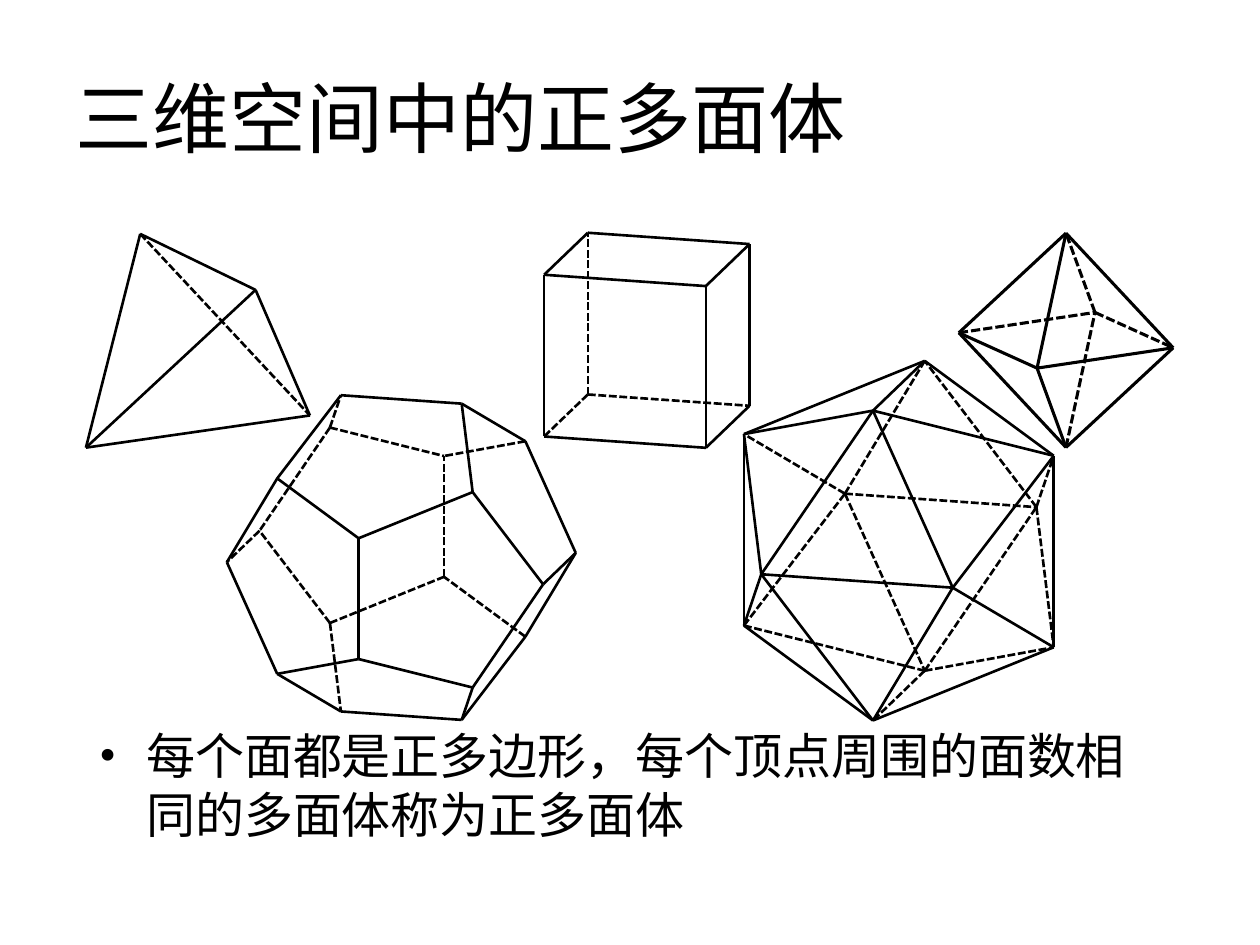
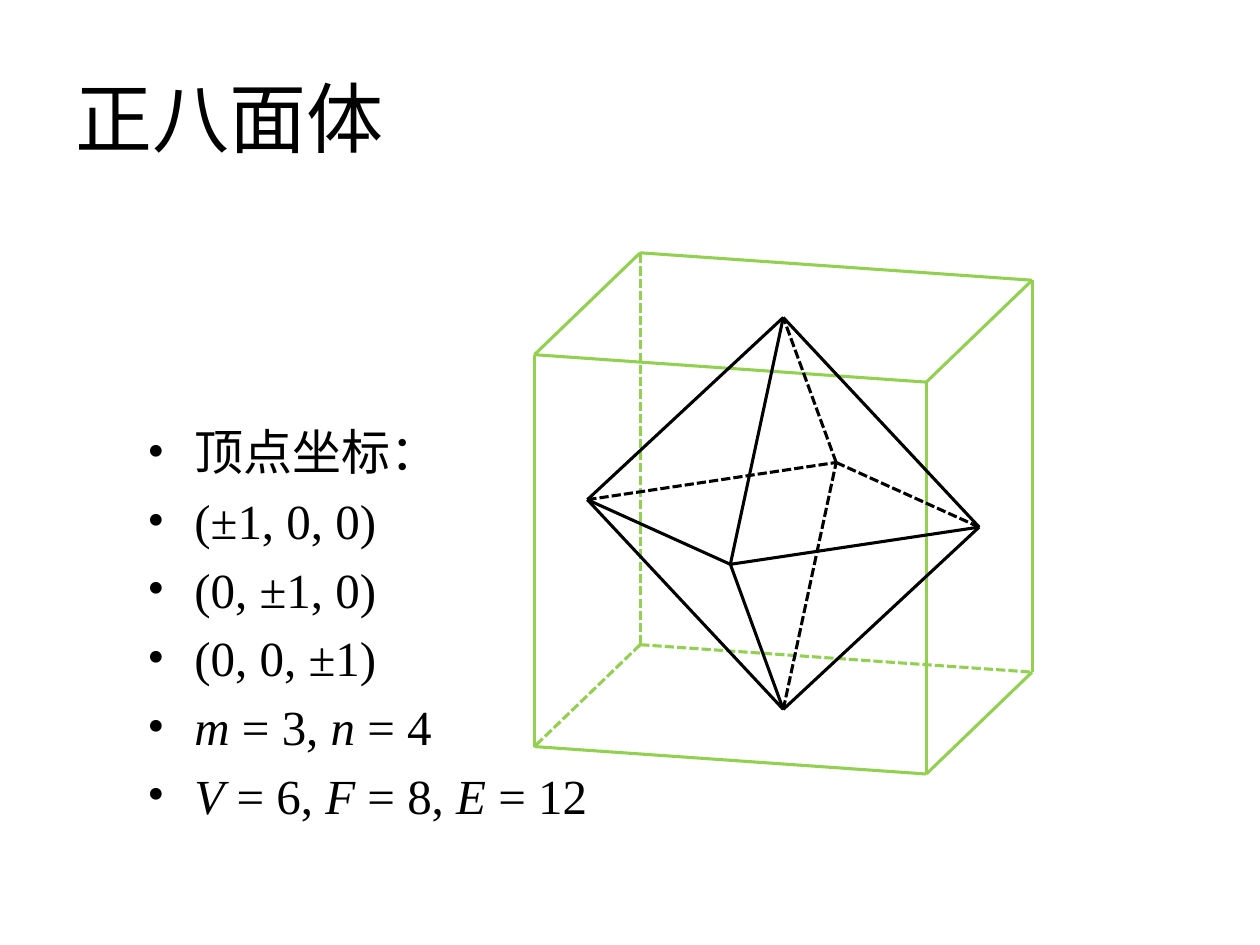
import itertools
import math

import pptx
import pptx.dml.color
import pptx.enum.dml
import pptx.enum.shapes
import pptx.enum.text
import pptx.util
from lxml import etree
from pptx.oxml.ns import qn
from pptx.util import Cm, Pt

BLACK, GREEN = "000000", "92D050"
SANS, SERIF = "Noto Sans CJK SC", "Times New Roman"
PHI = (1 + math.sqrt(5)) / 2

# Vertices as (right, up, towards the viewer)
CUBE = list(itertools.product((-1, 1), repeat=3))
TETRA = [v for v in CUBE if math.prod(v) == 1]
TETRA_DUAL = [v for v in CUBE if math.prod(v) == -1]
OCTA = [v for v in itertools.product((-1, 0, 1), repeat=3) if sum(map(abs, v)) == 1]
ICOSA, DODECA = [], CUBE[:]
for a, b in itertools.product((-1, 1), repeat=2):
    for turn in range(3):
        for solid, point in ((ICOSA, (PHI * a, b, 0)), (DODECA, (a / PHI, PHI * b, 0))):
            solid.append(point[turn:] + point[:turn])


def add_text(s, left, top, width, height, lines, size=28, font=SANS, bullet=False,
             anchor=pptx.enum.text.MSO_ANCHOR.TOP, math_italic=False):
    """Add a text box; math_italic slants the Latin letters."""
    tf = s.shapes.add_textbox(Cm(left), Cm(top), Cm(width), Cm(height)).text_frame
    tf.word_wrap = True
    tf.vertical_anchor = anchor
    for i, line in enumerate(lines):
        p = tf.paragraphs[0] if i == 0 else tf.add_paragraph()
        if bullet:
            pPr = p._p.get_or_add_pPr()
            pPr.set("marL", str(Cm(0.95)))
            pPr.set("indent", str(Cm(-0.95)))
            spacing = etree.SubElement(pPr, qn("a:spcBef"))
            etree.SubElement(spacing, qn("a:spcPct")).set("val", "20000")
            etree.SubElement(pPr, qn("a:buFont")).set("typeface", SERIF)
            etree.SubElement(pPr, qn("a:buChar")).set("char", "•")
        for is_letter, chars in itertools.groupby(line, lambda c: c.isascii() and c.isalpha()):
            r = p.add_run()
            r.text = "".join(chars)
            r.font.size = Pt(size)
            r.font.name = font
            r.font.italic = math_italic and is_letter
            r.font.color.rgb = pptx.dml.color.RGBColor.from_string(BLACK)
            etree.SubElement(r._r.get_or_add_rPr(), qn("a:ea")).set("typeface", SANS)


def add_solid(s, vertices, normals, x, y, size, color=BLACK, weight=1.5, lean=0.27):
    """Draw the edges in oblique projection, dashed where both faces look away."""
    tilt, drop = 0.07, 0.26
    view = (lean, drop + tilt * lean, 1)
    group = s.shapes.add_group_shape()
    pairs = list(itertools.combinations(vertices, 2))
    edge = min(math.dist(a, b) for a, b in pairs)
    for a, b in pairs:
        if math.dist(a, b) > edge + 0.01:
            continue
        middle = [u + v for u, v in zip(a, b)]
        faces = sorted(normals, key=lambda n: math.sumprod(n, middle) if hasattr(math, "sumprod")
                       else sum(u * v for u, v in zip(n, middle)))[-2:]
        hidden = all(sum(u * v for u, v in zip(n, view)) < 0 for n in faces)
        ends = [Cm(c) for px, py, pz in (a, b)
                for c in (x + size * (px - lean * pz), y + size * (tilt * px - py + drop * pz))]
        sp = group.shapes.add_connector(pptx.enum.shapes.MSO_CONNECTOR.STRAIGHT, *ends)
        sp.line.color.rgb = pptx.dml.color.RGBColor.from_string(color)
        sp.line.width = Pt(weight)
        if hidden:
            sp.line.dash_style = pptx.enum.dml.MSO_LINE.SQUARE_DOT
        etree.SubElement(sp._element.spPr, qn("a:effectLst"))


prs = pptx.Presentation()
prs.slide_width, prs.slide_height = Cm(25.4), Cm(19.05)
slides = []
for title in ("三维空间中的正多面体", "正八面体"):
    s = prs.slides.add_slide(prs.slide_layouts[6])
    add_text(s, 1.27, 0.76, 22.86, 3.18, [title], size=44,
             anchor=pptx.enum.text.MSO_ANCHOR.MIDDLE)
    slides.append(s)
overview, octahedron = slides

add_text(overview, 1.75, 14.5, 21.9, 2.49,
         ["每个面都是正多边形，每个顶点周围的面数相同的多面体称为正多面体"], bullet=True)
add_solid(overview, TETRA, TETRA_DUAL, 3.99, 6.99, 1.71, lean=0.32)
add_solid(overview, CUBE, OCTA, 13.04, 6.86, 1.63)
add_solid(overview, OCTA, CUBE, 21.49, 6.86, 2.16, weight=1.75)
add_solid(overview, DODECA, ICOSA, 8.09, 11.24, 1.97)
add_solid(overview, ICOSA, DODECA, 18.12, 10.9, 1.93)

add_text(octahedron, 2.72, 8.38, 13.97, 9.22,
         ["顶点坐标：", "(±1, 0, 0)", "(0, ±1, 0)", "(0, 0, ±1)", "m = 3, n = 4",
          "V = 6, F = 8, E = 12"], font=SERIF, bullet=True, math_italic=True)
add_solid(octahedron, CUBE, OCTA, 15.79, 10.35, 3.95, color=GREEN, weight=1.75)
add_solid(octahedron, OCTA, CUBE, 15.79, 10.35, 3.95, weight=1.75)

prs.save("out.pptx")
